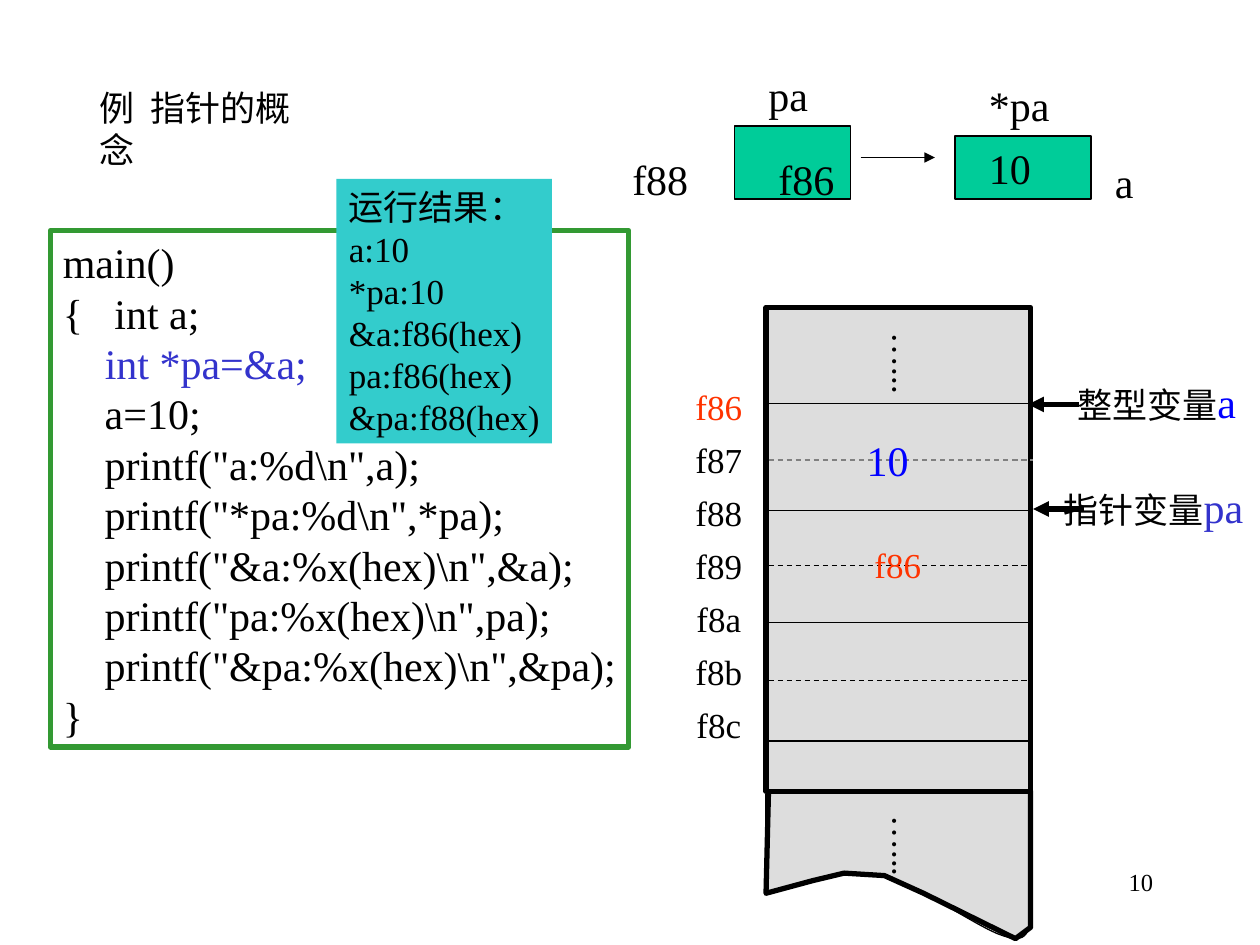
from dataclasses import dataclass

from lxml import etree
from pptx import Presentation
from pptx import util as u
from pptx.dml.color import RGBColor
from pptx.enum import dml, shapes, text
from pptx.oxml import ns

Inches, Pt = u.Inches, u.Pt
ALIGN, ANCHOR = text.PP_ALIGN, text.MSO_ANCHOR


@dataclass(frozen=True)
class Theme:
    font: str = "Times New Roman"
    tiny: int = 14
    small: int = 20
    large: int = 24
    thin: float = 0.75
    thick: float = 3
    ink: str = "000000"
    gray: str = "808080"
    red: str = "FF3300"
    blue: str = "0000FF"
    navy: str = "3333CC"
    frame: str = "339933"
    teal: str = "33CCCC"
    green: str = "00CC99"
    cell: str = "DDDDDD"


T = Theme()


def write(shape, lines, size=T.small, color=T.ink, align=ALIGN.LEFT,
          anchor=ANCHOR.TOP, wrap=False, upright=False):
    frame = shape.text_frame
    frame.word_wrap = wrap
    frame.auto_size = text.MSO_AUTO_SIZE.NONE
    frame.vertical_anchor = anchor
    side, edge = (0.05, 0.1) if upright else (0.1, 0.05)
    frame.margin_left = frame.margin_right = Inches(side)
    frame.margin_top = frame.margin_bottom = Inches(edge)
    if upright:
        shape.element.txBody.bodyPr.set("vert", "eaVert")
    for i, line in enumerate([lines] if isinstance(lines, str) else lines):
        para = frame.paragraphs[0] if i == 0 else frame.add_paragraph()
        para.alignment = align
        for part in [(line, color, size)] if isinstance(line, str) else line:
            run = para.add_run()
            run.text, tone, points = part
            run.font.name = T.font
            run.font.size = Pt(points)
            run.font.color.rgb = RGBColor.from_string(tone)


def label(slide, box, lines, **form):
    write(slide.shapes.add_textbox(*map(Inches, box)), lines, **form)


def paint(shape, fill=None, line=None, width=T.thin):
    shape.shadow.inherit = False
    if fill:
        shape.fill.solid()
        shape.fill.fore_color.rgb = RGBColor.from_string(fill)
    else:
        shape.fill.background()
    if line:
        shape.line.color.rgb = RGBColor.from_string(line)
        shape.line.width = Pt(width)
    else:
        shape.line.fill.background()
    return shape


def block(slide, box, **look):
    kind = shapes.MSO_SHAPE.RECTANGLE
    return paint(slide.shapes.add_shape(kind, *map(Inches, box)), **look)


def trace(slide, points, closed, **look):
    spots = [(Inches(x), Inches(y)) for x, y in points]
    pen = slide.shapes.build_freeform(*spots[0])
    pen.add_line_segments(spots[1:], close=closed)
    paint(pen.convert_to_shape(), **look)


def link(slide, start, end, color=T.ink, width=T.thin, dash=False, head=False):
    line = slide.shapes.add_connector(
        shapes.MSO_CONNECTOR.STRAIGHT, *map(Inches, (*start, *end)))
    line.line.color.rgb = RGBColor.from_string(color)
    line.line.width = Pt(width)
    if dash:
        line.line.dash_style = dml.MSO_LINE.DASH
    props = line.element.spPr
    if head:
        tip = etree.SubElement(props.find(ns.qn("a:ln")), ns.qn("a:tailEnd"))
        tip.set("type", "triangle")
    etree.SubElement(props, ns.qn("a:effectLst"))


def curve(a, b, c, d, steps=12):
    for i in range(steps + 1):
        t = i / steps
        s = 1 - t
        yield tuple(s**3 * p + 3 * s * s * t * q + 3 * s * t * t * r + t**3 * v
                    for p, q, r, v in zip(a, b, c, d))


def heading(slide, box):
    title = slide.shapes.title
    title.left, title.top, title.width, title.height = map(Inches, box)
    write(title, "例  指针的概念")


def code(slide, box):
    write(block(slide, box, line=T.frame, width=T.thick), [
        "main()",
        "{   int a;",
        [("    ", T.ink, T.large), ("int *pa=&a;", T.navy, T.large)],
        "    a=10;",
        '    printf("a:%d\\n",a);',
        '    printf("*pa:%d\\n",*pa);',
        '    printf("&a:%x(hex)\\n",&a);',
        '    printf("pa:%x(hex)\\n",pa);',
        '    printf("&pa:%x(hex)\\n",&pa);',
        "}",
    ], size=T.large)


def torn(slide, x, y, w):
    def shift(points):
        return [(x + dx, y + dy) for dx, dy in points]

    wave = [
        ((0, 0.82), (0.27, 0.71), (0.55, 0.6), (0.87, 0.66)),
        ((0.87, 0.66), (1.18, 0.71), (1.68, 1.09), (1.89, 1.15)),
        ((1.89, 1.15), (2.1, 1.22), (2.07, 1.07), (w, 1.05)),
    ]
    trace(slide, shift(p for bend in wave for p in curve(*bend)), False,
          line=T.ink)
    edge = [(0.02, 0), (w, 0), (w, 1.08), (1.98, 1.17), (1.25, 0.81),
            (0.94, 0.67), (0.62, 0.65), (0.37, 0.71), (0, 0.81)]
    trace(slide, shift(edge), True, fill=T.cell, line=T.ink, width=T.thick)


def memory(slide, box):
    x, y, w, h = box
    base = y + h
    mid = dict(align=ALIGN.CENTER, anchor=ANCHOR.MIDDLE)
    torn(slide, x, base, w)
    block(slide, box, fill=T.cell, line=T.ink, width=T.thick)
    rules = [(0.76, T.ink, False), (1.21, T.gray, True), (1.61, T.ink, False),
             (2.05, T.ink, True), (2.5, T.ink, False), (2.96, T.ink, True),
             (3.44, T.ink, False)]
    for drop, color, dash in rules:
        link(slide, (x + 0.02, y + drop), (x + w + 0.02, y + drop),
             color=color, dash=dash)
    for side, depth in ((x, 0.81), (x + w, 1.06)):
        link(slide, (side, base + 0.02), (side, base + depth))
    for top in (y + 0.1, base + 0.09):
        label(slide, (x + 0.85, top, 0.53, 0.59), "…...", upright=True, **mid)
    for i, name in enumerate("f86 f87 f88 f89 f8a f8b f8c".split()):
        label(slide, (x - 0.66, y + 0.57 + 0.42 * i, 0.57, 0.44), name,
              color=T.ink if i else T.red, **mid)
    label(slide, (x + 0.7, y + 0.96, 0.53, 0.5), "10", size=T.large,
          color=T.blue, **mid)
    label(slide, (x + 0.76, y + 1.82, 0.57, 0.44), "f86", color=T.red, **mid)
    notes = [("整型变量", "a", T.blue, 0.77, 2.08, 2.37, 1.53),
             ("指针变量", "pa", T.navy, 1.6, 2.12, 2.26, 1.69)]
    for kind, name, color, drop, tip, left, wide in notes:
        link(slide, (x + tip + 0.4, y + drop), (x + tip, y + drop),
             width=T.thick, head=True)
        label(slide, (x + left, y + drop - 0.27, wide, 0.5),
              [[(kind, T.ink, T.small), (name, color, T.large)]])


def pointer(slide, box):
    x, y, w, h = box
    block(slide, (x + 0.91, y + 0.5, 0.92, 0.58), fill=T.green, line=T.ink)
    block(slide, (x + 2.66, y + 0.58, 1.08, 0.5), fill=T.green, line=T.ink)
    link(slide, (x + 1.91, y + 0.75), (x + 2.5, y + 0.75), head=True)
    words = [("f88", 0, 0.67), ("pa", 1.08, 0), ("f86", 1.16, 0.67),
             ("*pa", 2.83, 0.08), ("10", 2.83, 0.58), ("a", 3.83, 0.69)]
    for word, left, top in words:
        label(slide, (x + left, y + top, 0.9, 0.5), word, size=T.large,
              wrap=True)


def result(slide, box):
    write(block(slide, box, fill=T.teal), [
        "运行结果：", "a:10", "*pa:10", "&a:f86(hex)", "pa:f86(hex)",
        "&pa:f88(hex)",
    ])


def main():
    deck = Presentation()
    deck.slide_width, deck.slide_height = Inches(10), Inches(7.5)
    slide = deck.slides.add_slide(deck.slide_layouts[5])
    heading(slide, (0.69, 0.64, 1.99, 0.44))
    label(slide, (7.17, 6.83, 2.08, 0.5), "10", size=T.tiny,
          align=ALIGN.RIGHT, wrap=True)
    code(slide, (0.4, 1.83, 4.59, 4.1))
    memory(slide, (6.08, 2.44, 2.1, 3.84))
    pointer(slide, (4.92, 0.5, 4.73, 1.19))
    result(slide, (2.67, 1.42, 1.71, 2.1))
    deck.save("out.pptx")


if __name__ == "__main__":
    main()
